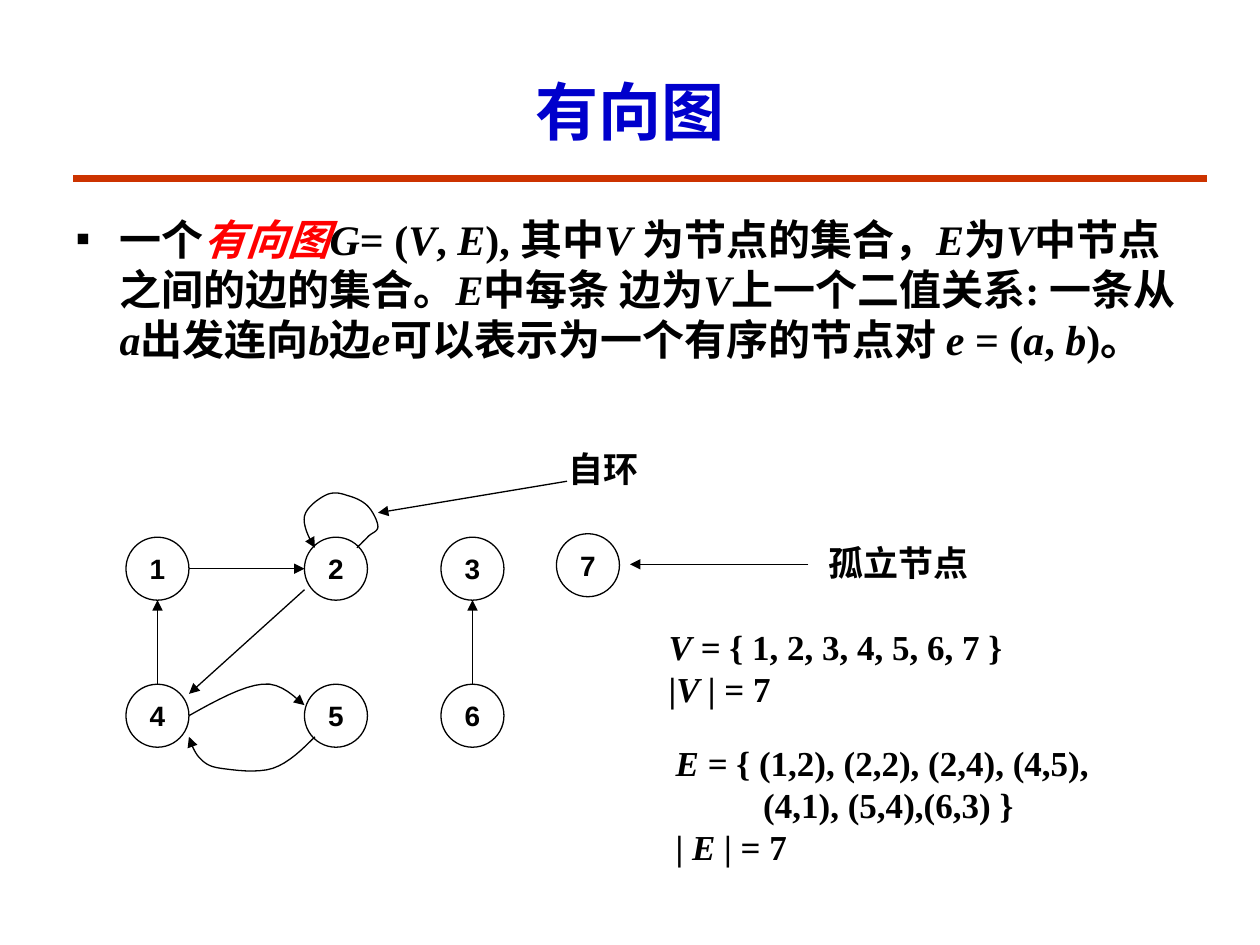
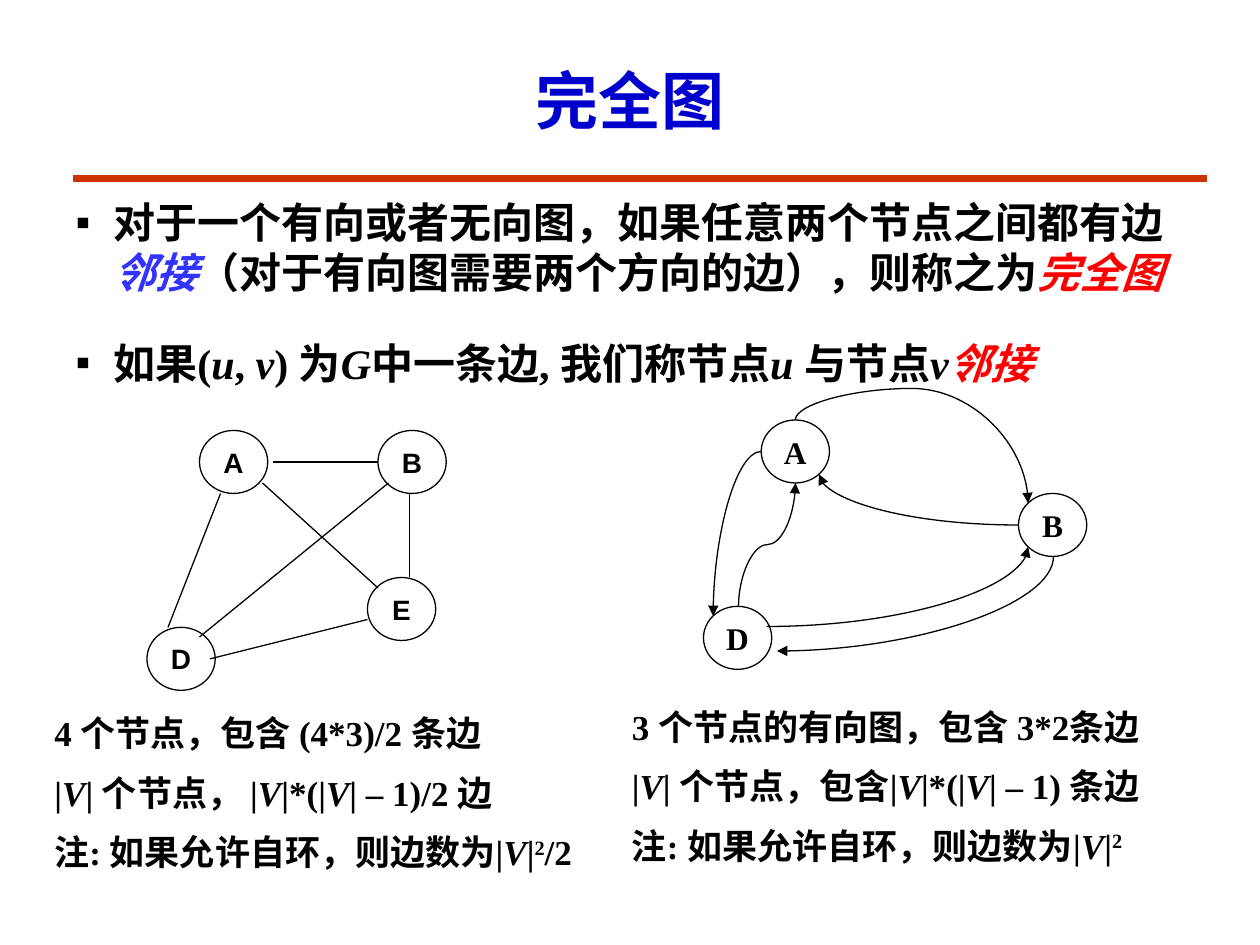
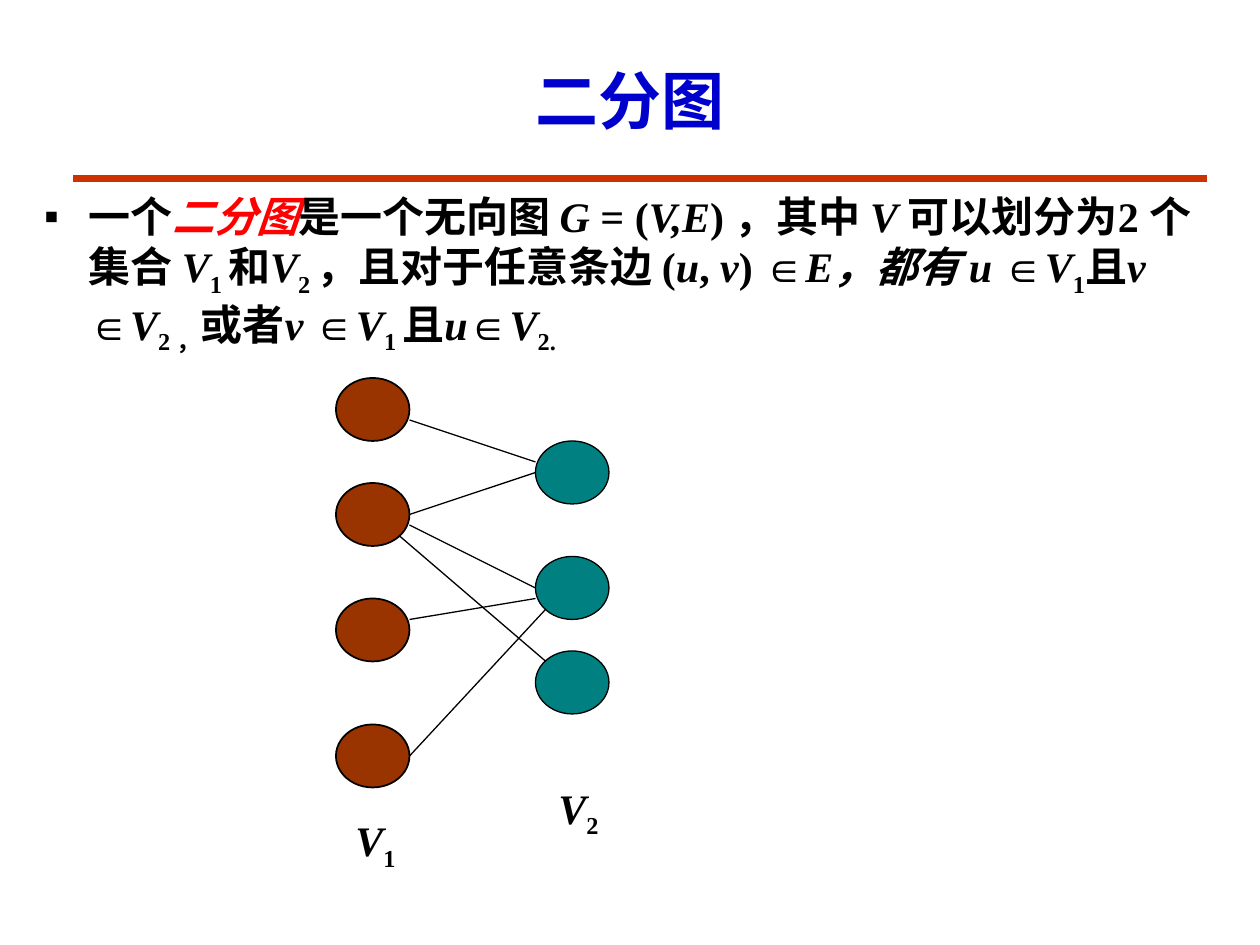
from itertools import groupby, pairwise

from lxml import etree
from pptx import Presentation
from pptx import util as u
from pptx.dml.color import RGBColor
from pptx.enum import shapes, text
from pptx.oxml.ns import qn

HUE = {"ink": "000000", "head": "0000CC", "band": "CC3300", "red": "FF0000",
       "blue": "3333FF", "rust": "993300", "teal": "008080"}
SERIF, SANS = "Times New Roman", "Arial"
# Marks that switch a style on and off inside a line of text
ITAL, RED, BLUE, SUB, SUP = MARKS = "`~@_^"


def rgb(name):
    return RGBColor.from_string(HUE[name])


def pts(*vals):
    return [u.Pt(v) for v in vals]


def shift(box, *spots):
    """Move points that are relative to a box onto the slide."""
    return [(box[0] + x, box[1] + y) for x, y in spots]


def write(para, line, size, face=SERIF, hue="ink"):
    """Fill a paragraph with a line in which MARKS toggle styles."""
    font = para.font
    font.name, font.size, font.bold = face, u.Pt(size), True
    on = set()
    for mark, part in groupby(line, lambda c: c in MARKS):
        part = "".join(part)
        if mark:
            on ^= set(part)
            continue
        run = para.add_run()
        run.text = part
        tint = "red" if RED in on else "blue" if BLUE in on else hue
        run.font.color.rgb = rgb(tint)
        if ITAL in on:
            run.font.italic = True
        if SUB in on or SUP in on:
            rise = "-25000" if SUB in on else "30000"
            run._r.get_or_add_rPr().set("baseline", rise)


def place(shape, box):
    shape.left, shape.top, shape.width, shape.height = pts(*box)
    frame = shape.text_frame
    frame.word_wrap = True
    frame.auto_size = text.MSO_AUTO_SIZE.NONE
    frame.vertical_anchor = text.MSO_ANCHOR.MIDDLE
    return frame.paragraphs[0]


def title(slide, box, line):
    para = place(slide.shapes.title, box)
    para.alignment = text.PP_ALIGN.CENTER
    write(para, line, 36, hue="head")


def bullet(slide, slot, box, line, hang=25.2, gap=0):
    para = place(slide.placeholders[slot], box)
    para.space_before = u.Pt(gap)
    write(para, line, 24)
    prop = para._p.get_or_add_pPr()
    prop.set("marL", str(u.Pt(hang)))
    prop.set("indent", str(-u.Pt(hang)))
    sign = etree.Element(qn("a:buChar"), char="▪")
    prop.insert_element_before(sign, "a:tabLst", "a:defRPr", "a:extLst")


def note(slide, box, lines, size=20, gap=0, inset=()):
    """Add a text box; inset holds a left margin for some line numbers."""
    frame = slide.shapes.add_textbox(*pts(*box)).text_frame
    frame.word_wrap = True
    for i, line in enumerate(lines):
        para = frame.add_paragraph() if i else frame.paragraphs[0]
        para.space_before = u.Pt(gap)
        write(para, line, size)
        if i in dict(inset):
            para._p.get_or_add_pPr().set("marL", str(u.Pt(dict(inset)[i])))


def node(slide, box, label="", size=16, face=SANS, fill=None, wide=0.75):
    oval = slide.shapes.add_shape(shapes.MSO_SHAPE.OVAL, *pts(*box))
    oval.shadow.inherit = False
    if fill:
        oval.fill.solid()
        oval.fill.fore_color.rgb = rgb(fill)
    else:
        oval.fill.background()
    oval.line.color.rgb, oval.line.width = rgb("ink"), u.Pt(wide)
    if label:
        frame = oval.text_frame
        frame.margin_left = frame.margin_right = 0
        frame.margin_top = frame.margin_bottom = 0
        frame.word_wrap = False
        frame.vertical_anchor = text.MSO_ANCHOR.MIDDLE
        frame.paragraphs[0].alignment = text.PP_ALIGN.CENTER
        write(frame.paragraphs[0], label, size, face)


def stroke(shape, tip=None, hue="ink", wide=0.75):
    """Style a line; tip is headEnd or tailEnd."""
    shape.line.color.rgb, shape.line.width = rgb(hue), u.Pt(wide)
    prop = shape.element.spPr
    if tip:
        etree.SubElement(prop.find(qn("a:ln")), qn("a:" + tip), type="triangle")
    if prop.find(qn("a:effectLst")) is None:
        etree.SubElement(prop, qn("a:effectLst"))


def edge(slide, start, end, tip=None, **look):
    line = slide.shapes.add_connector(
        shapes.MSO_CONNECTOR.STRAIGHT, *pts(*start, *end))
    stroke(line, tip, **look)
    return line


def bend(slide, start, end, turn, flip="", adj=None, tip="tailEnd"):
    """Join two points by a curved connector, turned by whole quarters."""
    (x1, y1), (x2, y2) = start, end
    w, h = abs(x2 - x1), abs(y2 - y1)
    if turn % 180:
        w, h = h, w
    x, y = (x1 + x2 - w) / 2, (y1 + y2 - h) / 2
    line = slide.shapes.add_connector(
        shapes.MSO_CONNECTOR.CURVE, *pts(x, y, x + w, y + h))
    prop = line.element.spPr
    form = prop.find(qn("a:xfrm"))
    form.set("rot", str(turn * 60000))
    for side in flip:
        form.set("flip" + side, "1")
    geom = prop.find(qn("a:prstGeom"))
    if adj is None:
        geom.set("prst", "curvedConnector2")
    else:
        guide = geom.find(qn("a:avLst"))
        if guide is None:
            guide = etree.SubElement(geom, qn("a:avLst"))
        etree.SubElement(guide, qn("a:gd"), name="adj1",
                         fmla=f"val {round(adj * 100000)}")
    stroke(line, tip)


def arc(slide, spots, steps=8):
    """Draw an open chain of cubic curves that ends in an arrow."""
    chain = [spots[0]]
    for i in range(0, len(spots) - 1, 3):
        a, b, c, d = spots[i:i + 4]
        for k in range(1, steps + 1):
            t = k / steps
            s = 1 - t
            chain.append([s**3 * p + 3 * s * s * t * q + 3 * s * t * t * r + t**3 * v
                          for p, q, r, v in zip(a, b, c, d)])
    pen = slide.shapes.build_freeform(*pts(*chain[0]))
    pen.add_line_segments([pts(*spot) for spot in chain[1:]], close=False)
    path = pen.convert_to_shape()
    path.shadow.inherit = False
    path.fill.background()
    stroke(path, "tailEnd")


def digraph(slide, box):
    cols, rows = (0, 102, 180), (55, 139)
    spots = [(x, y) for y in rows for x in cols] + [(246, 53)]
    for label, spot in zip("1234567", shift(box, *spots)):
        node(slide, (*spot, 36, 36), label)
    for pair in [((18, 139), (18, 91)), ((36, 73), (102, 73)),
                 ((102, 85), (36, 144.5)), ((198, 139), (198, 91)),
                 ((252, 23), (144, 41)), ((390, 70.5), (288, 70.5))]:
        edge(slide, *shift(box, *pair), "tailEnd")
    loop = [(132, 61), (133, 60), (136, 57), (138, 55), (140, 52.5), (144, 52),
            (144, 49), (144, 46), (141, 40), (138, 37), (135, 34), (130, 32),
            (126, 31), (122, 29.5), (118, 29), (114, 31), (110, 33), (103, 38),
            (102, 43), (101, 47.5), (104, 55), (108, 61)]
    there = [(36, 157), (52, 148), (67, 140), (78, 139), (89, 137.5),
             (98, 148), (102, 151)]
    back = [(108, 169), (101, 176), (93, 184), (84, 187), (75, 190), (61, 188),
            (54, 187), (47, 186), (45, 184), (42, 181), (39, 178), (36.5, 171),
            (36, 169)]
    for spots in (loop, there, back):
        arc(slide, shift(box, *spots))
    for word, spot, wide in [("自环", (246, 0), 60), ("孤立节点", (394.5, 54), 100)]:
        note(slide, (*shift(box, spot)[0], wide, 32), [word])


def sets(slide, box):
    x, y = box
    note(slide, (x, y, 215, 55),
         ["`V` = { 1, 2, 3, 4, 5, 6, 7 }", "|`V `| = 7"])
    note(slide, (x + 4, y + 66, 262, 80),
         ["`E` = { (1,2), (2,2), (2,4), (4,5),", "(4,1), (5,4),(6,3) }",
          "| `E` | = 7"], inset=[(1, 50)])


def mesh(slide, box):
    """Draw the complete graph without directions."""
    for pair in [((66, 30), (132, 90)), ((72, 18), (132, 18)),
                 ((150, 84), (150, 36)), ((36, 130.5), (126, 108)),
                 ((12, 112.5), (42, 36)), ((30, 118), (138, 30))]:
        edge(slide, *shift(box, *pair))
    spots = [(30, 0), (132, 0), (126, 84), (0, 112.5)]
    for label, spot in zip("ABED", shift(box, *spots)):
        node(slide, (*spot, 39, 36), label)


def cycle(slide, box):
    """Draw the complete graph with both directions."""
    spots = [(33, 0), (180, 42), (0, 106.5)]
    for label, spot in zip("ABD", shift(box, *spots)):
        node(slide, (*spot, 39, 36), label, 18, SERIF)
    for start, end, turn, look in [
            ((52.5, 0), (185.5, 47.5), 270, {"flip": "H", "adj": -0.38}),
            ((180, 60), (66, 31), 180, {}),
            ((33, 18), (5.5, 112), 180, {"flip": "V"}),
            ((20, 106.5), (52.5, 36), 90, {"flip": "HV", "adj": 0.5}),
            ((200, 78), (42, 132), 90, {}),
            ((185.5, 72.5), (36, 118), 90, {"tip": "headEnd"})]:
        bend(slide, *shift(box, start, end), turn, **look)


def halves(slide, box):
    """Draw the two node sets of the bipartite graph and their edges."""
    for x, tops, fill, wide in [(0, (0, 60, 126, 198), "rust", 1),
                                (114, (36, 102, 156), "teal", 0.75)]:
        for spot in shift(box, *[(x, y) for y in tops]):
            node(slide, (*spot, 42, 36), fill=fill, wide=wide)
    for pair in [((42, 24), (114, 48)), ((42, 78), (114, 54)),
                 ((42, 216), (120, 132)), ((42, 138), (114, 126)),
                 ((42, 84), (114, 120)), ((36, 90), (120, 162))]:
        edge(slide, *shift(box, *pair))
    for word, spot in [("`V`_1_", (4, 246)), ("`V`_2_", (120, 227.5))]:
        note(slide, (*shift(box, spot)[0], 45, 36), [word], 24)


def directed(slide):
    title(slide, (54, 30, 612, 66), "有向图")
    bullet(slide, 1, (36, 90, 648, 150),
           "一个`~有向图~G`= (`V`, `E`), 其中`V `为节点的集合，`E`为`V`中节点之间的边的集合。"
           "`E`中每条 边为`V`上一个二值关系: 一条从`a`出发连向`b`边`e`"
           "可以表示为一个有序的节点对 `e` = (`a`, `b`)。", gap=3)
    digraph(slide, (72, 252))
    sets(slide, (375, 354))


def complete(slide):
    title(slide, (54, 18, 612, 78), "完全图")
    for slot, top, line in [
            (1, 108, "对于一个有向或者无向图，如果任意两个节点之间都有边`@邻接@`"
                     "（对于有向图需要两个方向的边），则称之为`~完全图~`"),
            (2, 174, "如果(`u`, `v`) 为`G`中一条边, 我们称节点`u `与节点`v~邻接~`")]:
        bullet(slide, slot, (36, top, 648, 66), line, 21.6)
    mesh(slide, (84, 246))
    cycle(slide, (402, 240))
    note(slide, (24, 403, 330, 104),
         ["4 个节点，包含 (4*3)/2 条边", "|`V`| 个节点， |`V`|*(|`V`| – 1)/2 边",
          "注: 如果允许自环，则边数为|`V`|^2^/2"], gap=10)
    note(slide, (354, 399.5, 354, 104),
         ["3 个节点的有向图，包含 3*2条边", "|`V`| 个节点，包含|`V`|*(|`V`| – 1) 条边",
          "注: 如果允许自环，则边数为|`V`|^2^"], gap=10)


def bipart(slide):
    title(slide, (54, 18, 612, 78), "二分图")
    bullet(slide, 1, (18, 108, 684, 96),
           "一个`~二分图~`是一个无向图 `G` = (`V,E`) ，其中 `V `可以划分为2 个集合 "
           "`V`_1 _和`V`_2 _，且对于任意条边 (`u`, `v`) ∈`E，都有 u `∈`V`_1_"
           "且`v `∈`V`_2 ，_或者`v `∈`V`_1 _且`u`∈`V`_2._")
    halves(slide, (192, 216))


def main():
    deck = Presentation()
    deck.slide_width, deck.slide_height = pts(720, 540)
    for fill, layout in [(directed, 1), (complete, 3), (bipart, 1)]:
        fill(deck.slides.add_slide(deck.slide_layouts[layout]))
    band = edge(deck.slides[0], (42, 102), (690, 102), hue="band", wide=4.5)
    deck.slide_master.shapes.element.append(band.element)
    deck.save("out.pptx")


if __name__ == "__main__":
    main()
